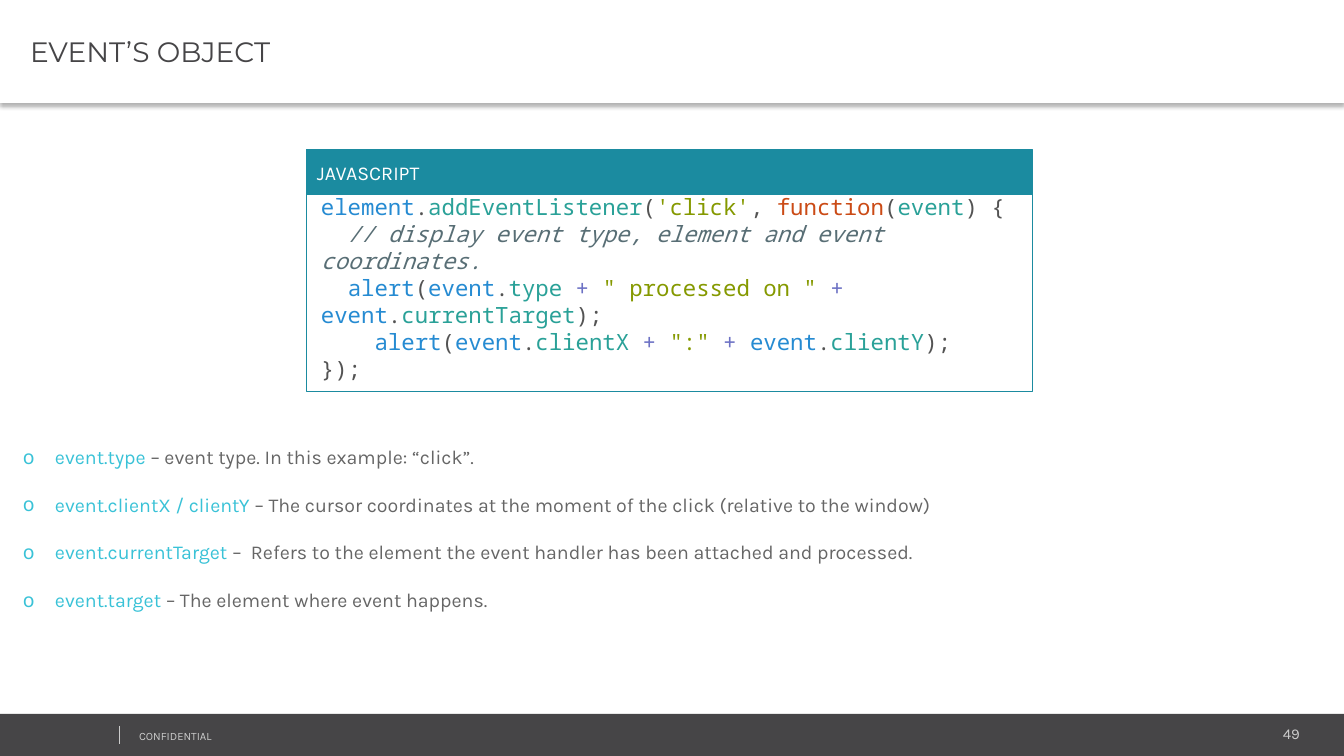
from dataclasses import dataclass

import pptx
import pptx.dml.color
import pptx.enum.shapes
import pptx.enum.text
import pptx.oxml
import pptx.oxml.ns
import pptx.util
from pptx.dml.color import RGBColor

EMU_PER_PX = 914400 / 100.8

WHITE = RGBColor(0xFF, 0xFF, 0xFF)
CHARCOAL = RGBColor(0x46, 0x45, 0x47)
SILVER = RGBColor(0xCC, 0xCC, 0xCC)
TEAL = RGBColor(0x1B, 0x8B, 0xA0)
CYAN = RGBColor(0x39, 0xC2, 0xD7)
GREY = RGBColor(0x66, 0x66, 0x66)
PLAIN = RGBColor(0x53, 0x53, 0x53)
BLUE = RGBColor(0x26, 0x8B, 0xD2)
GREEN = RGBColor(0x2A, 0xA1, 0x98)
OLIVE = RGBColor(0x85, 0x99, 0x00)
ORANGE = RGBColor(0xCB, 0x4B, 0x16)
SLATE = RGBColor(0x58, 0x6E, 0x75)
VIOLET = RGBColor(0x6C, 0x71, 0xC4)

BODY_FONT = "Karla"
TITLE_FONT = "Montserrat"
CODE_FONT = "Noto Sans Mono"
LEFT = pptx.enum.text.PP_ALIGN.LEFT
RIGHT = pptx.enum.text.PP_ALIGN.RIGHT
TOP = pptx.enum.text.MSO_ANCHOR.TOP
MIDDLE = pptx.enum.text.MSO_ANCHOR.MIDDLE


@dataclass
class Box:
    left: int
    top: int
    width: int
    height: int


@dataclass
class Piece:
    text: str
    color: RGBColor
    italic: bool = False


@dataclass
class Property:
    name: str
    meaning: str


DOT = Piece(".", PLAIN)
OPEN = Piece("(", PLAIN)
CLOSE = Piece(");", PLAIN)
PLUS = Piece("+ ", VIOLET)
EVENT = Piece("event", BLUE)
ALERT = Piece("alert", BLUE)

CODE_LINES = [
    [Piece("element", BLUE), DOT, Piece("addEventListener", GREEN), OPEN,
     Piece("'click'", OLIVE), Piece(", ", PLAIN), Piece("function", ORANGE), OPEN,
     Piece("event", GREEN), Piece(") {", PLAIN)],
    [Piece("  // display event type, element and event coordinates.", SLATE, True)],
    [Piece("  ", PLAIN), ALERT, OPEN, EVENT, DOT, Piece("type ", GREEN), PLUS,
     Piece('" processed on " ', OLIVE), PLUS, EVENT, DOT,
     Piece("currentTarget", GREEN), CLOSE],
    [Piece("    ", PLAIN), ALERT, OPEN, EVENT, DOT, Piece("clientX ", GREEN), PLUS,
     Piece('":" ', OLIVE), PLUS, EVENT, DOT, Piece("clientY", GREEN), CLOSE],
    [Piece("});", PLAIN)],
]

PROPERTIES = [
    Property("event.type ", "– event type. In this example: “click”."),
    Property("event.clientX / clientY ",
             "– The cursor coordinates at the moment of the click (relative to the window)"),
    Property("event.currentTarget ",
             "–  Refers to the element the event handler has been attached and processed."),
    Property("event.target ", "– The element where event happens."),
]


def px(length: int) -> pptx.util.Emu:
    return pptx.util.Emu(round(length * EMU_PER_PX))


def place(box: Box) -> list:
    return [px(box.left), px(box.top), px(box.width), px(box.height)]


def prepare_frame(frame, anchor, left_inset: int = 10) -> None:
    frame.word_wrap = True
    frame.auto_size = pptx.enum.text.MSO_AUTO_SIZE.NONE
    frame.vertical_anchor = anchor
    frame.margin_left, frame.margin_right = px(left_inset), px(10)
    frame.margin_top = frame.margin_bottom = px(5)


def style_font(font, name: str, size: float, color: RGBColor) -> None:
    font.name = name
    font.size = pptx.util.Pt(size)
    font.color.rgb = color


def write_label(frame, text: str, font: str, size: float, color: RGBColor,
                align=LEFT) -> None:
    frame.text = text
    paragraph = frame.paragraphs[0]
    paragraph.alignment = align
    style_font(paragraph.runs[0].font, font, size, color)


def write_pieces(paragraph, pieces: list[Piece], font: str, size: float) -> None:
    for piece in pieces:
        run = paragraph.add_run()
        run.text = piece.text
        style_font(run.font, font, size, piece.color)
        run.font.italic = piece.italic


def add_rectangle(slide, box: Box, fill: RGBColor | None, line: RGBColor | None):
    rectangle = slide.shapes.add_shape(pptx.enum.shapes.MSO_SHAPE.RECTANGLE, *place(box))
    rectangle.shadow.inherit = False
    if fill is None:
        rectangle.fill.background()
    else:
        rectangle.fill.solid()
        rectangle.fill.fore_color.rgb = fill
    if line is None:
        rectangle.line.fill.background()
    else:
        rectangle.line.color.rgb = line
        rectangle.line.width = pptx.util.Pt(0.75)
    return rectangle


def add_text_frame(slide, box: Box, anchor=TOP):
    frame = slide.shapes.add_textbox(*place(box)).text_frame
    prepare_frame(frame, anchor)
    return frame


def add_bullet(paragraph) -> None:
    properties = paragraph._p.get_or_add_pPr()
    properties.set("marL", str(px(32)))
    properties.set("indent", str(px(-32)))
    namespace = pptx.oxml.ns.nsdecls("a")
    for xml in (f'<a:buClr {namespace}><a:srgbClr val="{CYAN}"/></a:buClr>',
                f'<a:buFont {namespace} typeface="{CODE_FONT}"/>',
                f'<a:buChar {namespace} char="o"/>'):
        properties.append(pptx.oxml.parse_xml(xml))


def add_title(slide) -> None:
    title = slide.shapes.title
    title.left, title.top, title.width, title.height = place(Box(0, 0, 1344, 103))
    title.fill.solid()
    title.fill.fore_color.rgb = WHITE
    prepare_frame(title.text_frame, MIDDLE, left_inset=30)
    write_label(title.text_frame, "EVENT’S OBJECT", TITLE_FONT, 20, CHARCOAL)
    title._element.spPr.append(pptx.oxml.parse_xml(
        f'<a:effectLst {pptx.oxml.ns.nsdecls("a")}>'
        '<a:outerShdw blurRad="39370" dist="25400" dir="5400000" algn="t" rotWithShape="0">'
        '<a:srgbClr val="000000"><a:alpha val="30000"/></a:srgbClr>'
        '</a:outerShdw></a:effectLst>'))


def add_footer(slide) -> None:
    add_rectangle(slide, Box(0, 714, 1344, 42), CHARCOAL, None)
    write_label(add_text_frame(slide, Box(1091, 720, 219, 28)),
                "49", BODY_FONT, 10.7, SILVER, RIGHT)
    write_label(add_text_frame(slide, Box(129, 724, 341, 24)),
                "CONFIDENTIAL", BODY_FONT, 8, SILVER)
    divider = slide.shapes.add_connector(
        pptx.enum.shapes.MSO_CONNECTOR.STRAIGHT, px(120), px(726), px(120), px(744))
    divider.line.color.rgb = SILVER
    divider.line.width = pptx.util.Pt(0.75)
    divider._element.spPr.append(pptx.oxml.parse_xml(
        f'<a:effectLst {pptx.oxml.ns.nsdecls("a")}/>'))


def add_code_panel(slide) -> None:
    header = add_rectangle(slide, Box(307, 150, 726, 45), TEAL, TEAL)
    prepare_frame(header.text_frame, MIDDLE)
    write_label(header.text_frame, "JAVASCRIPT", BODY_FONT, 14, WHITE)
    add_rectangle(slide, Box(307, 195, 726, 197), None, TEAL)
    frame = add_text_frame(slide, Box(311, 213, 726, 149), MIDDLE)
    for index, pieces in enumerate(CODE_LINES):
        paragraph = frame.add_paragraph() if index else frame.paragraphs[0]
        paragraph.line_spacing = pptx.util.Pt(19.25)
        write_pieces(paragraph, pieces, CODE_FONT, 16)


def add_property_list(slide) -> None:
    frame = add_text_frame(slide, Box(13, 440, 1075, 176))
    for index, entry in enumerate(PROPERTIES):
        paragraph = frame.add_paragraph() if index else frame.paragraphs[0]
        add_bullet(paragraph)
        if index:
            paragraph.space_before = pptx.util.Pt(17.2)
        write_pieces(paragraph, [Piece(entry.name, CYAN), Piece(entry.meaning, GREY)],
                     BODY_FONT, 14)


def main() -> None:
    deck = pptx.Presentation()
    deck.slide_width, deck.slide_height = px(1344), px(756)
    slide = deck.slides.add_slide(deck.slide_layouts[5])
    add_title(slide)
    add_footer(slide)
    add_code_panel(slide)
    add_property_list(slide)
    deck.save("out.pptx")


if __name__ == "__main__":
    main()
